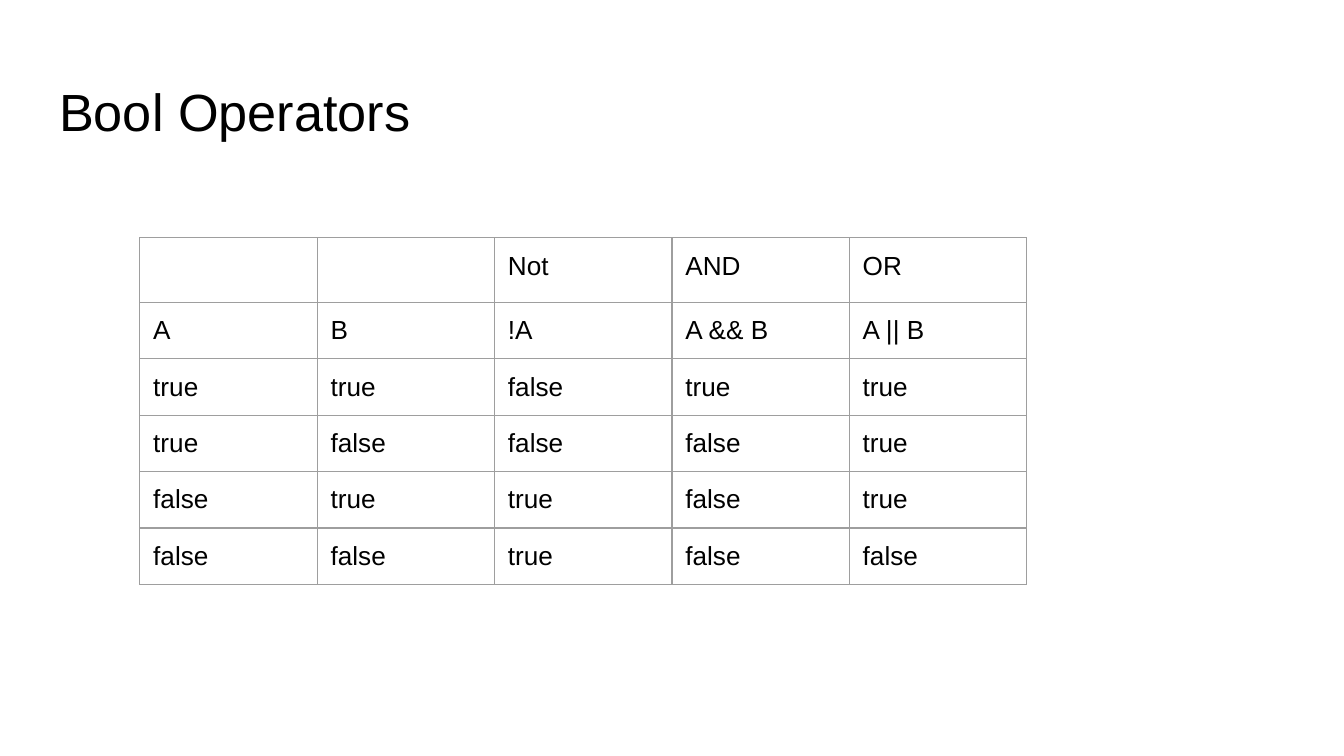
from lxml import etree
from pptx import Presentation
from pptx.dml.color import RGBColor
from pptx.enum.text import MSO_ANCHOR, PP_ALIGN
from pptx.oxml.ns import qn
from pptx.util import Inches, Pt

TOP = MSO_ANCHOR.TOP
LEFT = PP_ALIGN.LEFT
BLACK = RGBColor(0x00, 0x00, 0x00)
GREY = RGBColor(0x9E, 0x9E, 0x9E)
FONT = "Arial"
TITLE_ONLY = 5

HEADING = "Bool Operators"
TRUTH_TABLE = [
    ["", "", "Not", "AND", "OR"],
    ["A", "B", "!A", "A && B", "A || B"],
    ["true", "true", "false", "true", "true"],
    ["true", "false", "false", "false", "true"],
    ["false", "true", "true", "false", "true"],
    ["false", "false", "true", "false", "false"],
]
SLIDE_WIDTH = Inches(10)
SLIDE_HEIGHT = SLIDE_WIDTH * 9 // 16
TABLE_LEFT, TABLE_TOP = 1.04, 1.77
COLUMN_WIDTH, ROW_HEIGHT = 1.32, 0.42
PADDING = Inches(0.1)
BORDER_WIDTH = Pt(0.75)


def write(frame, text, size, color=BLACK, align=LEFT):
    paragraph = frame.paragraphs[0]
    paragraph.alignment = align
    run = paragraph.add_run()
    run.text = text
    run.font.name = FONT
    run.font.size = Pt(size)
    run.font.color.rgb = color


def set_empty_font(frame, size):
    ending = etree.SubElement(
        frame.paragraphs[0]._p, qn("a:endParaRPr"), sz=str(size * 100)
    )
    etree.SubElement(ending, qn("a:latin"), typeface=FONT)


def pad(box):
    box.margin_left = box.margin_right = PADDING
    box.margin_top = box.margin_bottom = PADDING
    box.vertical_anchor = TOP


def outline(cell):
    properties = cell._tc.get_or_add_tcPr()
    for position, side in enumerate(("lnL", "lnR", "lnT", "lnB")):
        line = etree.Element(qn(f"a:{side}"), w=str(BORDER_WIDTH))
        fill = etree.SubElement(line, qn("a:solidFill"))
        etree.SubElement(fill, qn("a:srgbClr"), val=str(GREY))
        properties.insert(position, line)


def add_heading(slide):
    title = slide.shapes.title
    title.left, title.top = Inches(0.34), Inches(0.49)
    title.width, title.height = Inches(9.32), Inches(0.63)
    frame = title.text_frame
    frame.word_wrap = True
    pad(frame)
    write(frame, HEADING, size=28)


def add_truth_table(slide):
    row_count, column_count = len(TRUTH_TABLE), len(TRUTH_TABLE[0])
    table = slide.shapes.add_table(
        row_count, column_count, Inches(TABLE_LEFT), Inches(TABLE_TOP),
        Inches(COLUMN_WIDTH * column_count), Inches(ROW_HEIGHT * row_count),
    ).table
    table.first_row = table.horz_banding = False
    for column in table.columns:
        column.width = Inches(COLUMN_WIDTH)
    for row, values in zip(table.rows, TRUTH_TABLE):
        row.height = Inches(ROW_HEIGHT)
        for cell, value in zip(row.cells, values):
            pad(cell)
            cell.fill.background()
            outline(cell)
            if value:
                write(cell.text_frame, value, size=14)
            else:
                set_empty_font(cell.text_frame, size=18)


def main():
    deck = Presentation()
    deck.slide_width, deck.slide_height = SLIDE_WIDTH, SLIDE_HEIGHT
    slide = deck.slides.add_slide(deck.slide_layouts[TITLE_ONLY])
    add_heading(slide)
    add_truth_table(slide)
    deck.save("out.pptx")


if __name__ == "__main__":
    main()
